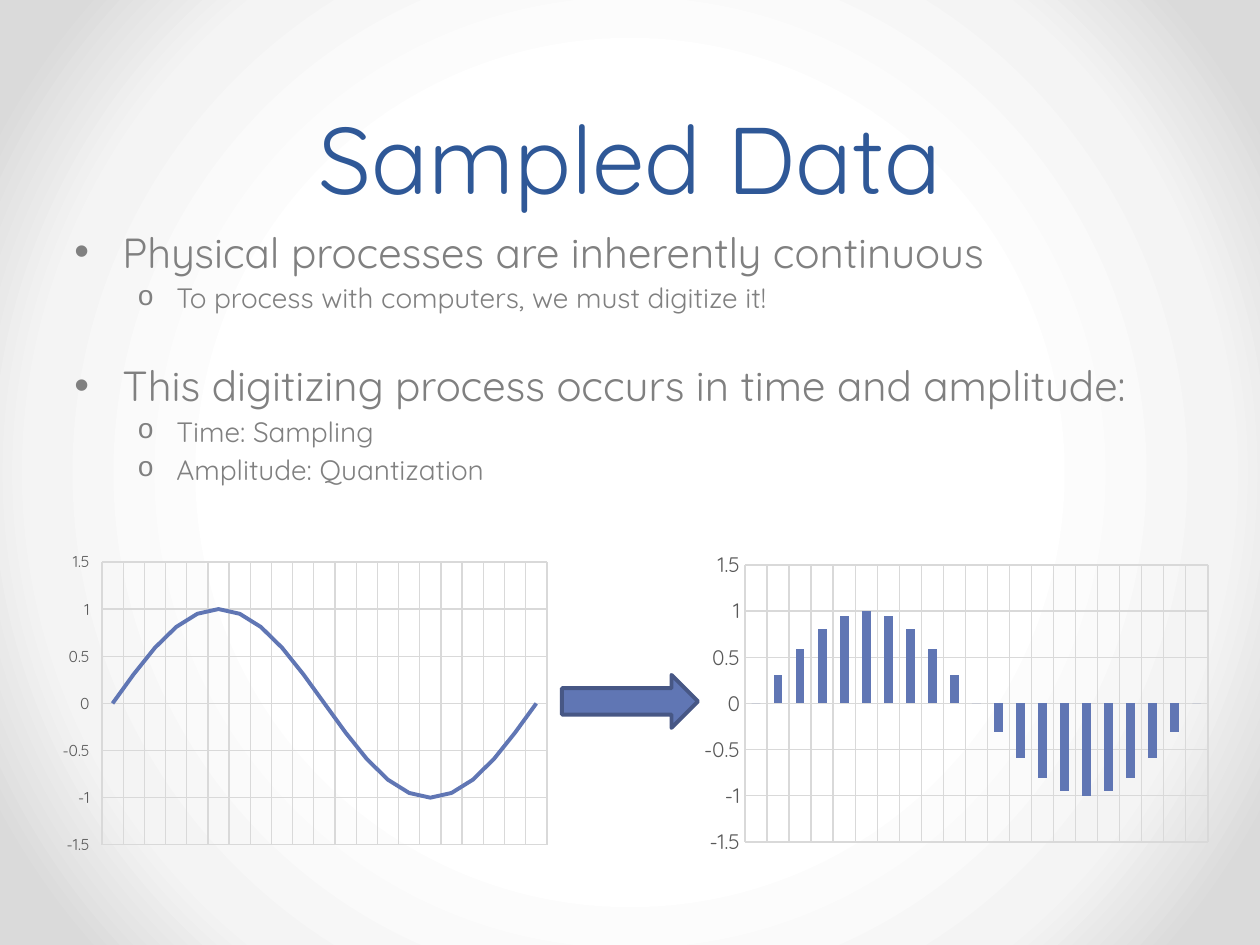
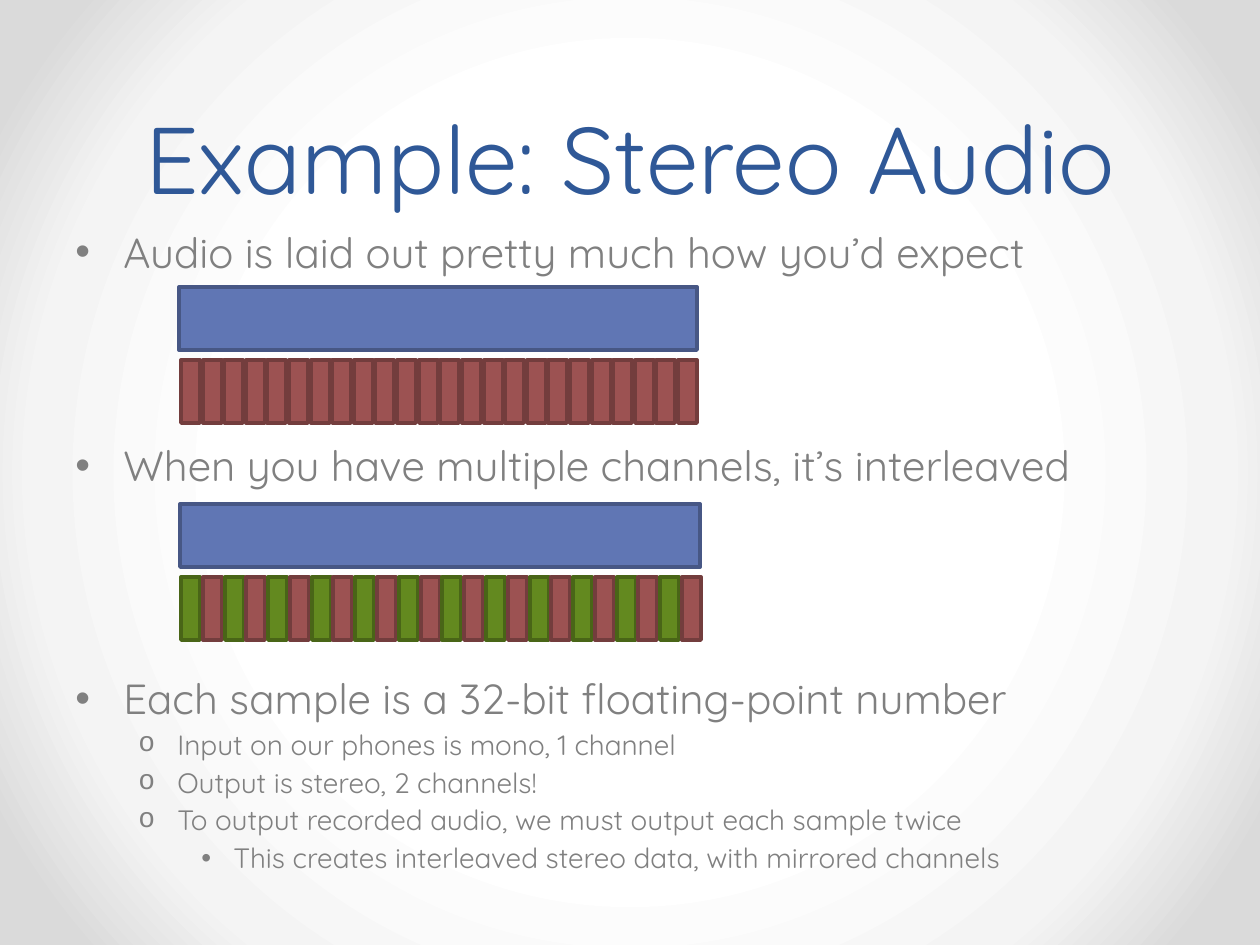
import math
from dataclasses import dataclass

from lxml import etree
from pptx import Presentation
from pptx import util as u
from pptx.chart.data import CategoryChartData
from pptx.dml.color import RGBColor
from pptx.enum import chart as charts, shapes, text
from pptx.oxml import parse_xml
from pptx.oxml.ns import nsdecls, qn

PIXEL = 914400 / 126
FONT = "Quicksand"
COLORS = {
    "title": "2F5897", "body": "808080", "axis": "595959", "grid": "D9D9D9",
    "blue": "6076B4", "blue_edge": "475785",
    "red": "9C5252", "red_edge": "733D3D",
    "green": "63891F", "green_edge": "496517",
}
BACKGROUND_STOPS = {50: "FFFFFF", 76: "F4F4F4", 92: "DADADA"}


@dataclass(frozen=True)
class Box:
    left: int
    top: int
    width: int
    height: int

    def emu(self) -> list[u.Emu]:
        return [px(n) for n in (self.left, self.top, self.width, self.height)]


@dataclass(frozen=True)
class Level:
    margin: int
    hang: int
    size: int
    bullet: str
    bullet_font: str


@dataclass(frozen=True)
class Bullet:
    words: str
    level: int = 0
    gap: float = 0  # extra points above the paragraph


@dataclass(frozen=True)
class WaveChart:
    kind: charts.XL_CHART_TYPE
    frame: Box
    plot: Box
    label_size: int
    axis_line: bool
    tick: charts.XL_TICK_MARK


@dataclass(frozen=True)
class SampleStrip:
    signal: Box
    first: int
    last: int
    top: int
    colors: tuple[str, ...]


LEVELS = (
    Level(48, 48, 24, "•", "Arial"),
    Level(102, 39, 16, "o", "Courier New"),
    Level(158, 32, 16, "•", "Arial"),
)


def px(pixels: float) -> u.Emu:
    return u.Emu(round(pixels * PIXEL))


def color(name: str) -> RGBColor:
    return RGBColor.from_string(COLORS[name])


def set_format(target, values: dict) -> None:
    for name, value in values.items():
        setattr(target, name, value)


def set_font(font, size: int, color_name: str) -> None:
    set_format(font, {"name": FONT, "size": u.Pt(size)})
    font.color.rgb = color(color_name)


def set_line(line, color_name: str, width: float) -> None:
    line.color.rgb = color(color_name)
    line.width = u.Pt(width)


# Shared slide parts
def set_background(presentation) -> None:
    stops = "".join(
        f'<a:gs pos="{position * 1000}"><a:srgbClr val="{value}"/></a:gs>'
        for position, value in BACKGROUND_STOPS.items())
    background = parse_xml(
        f'<p:bg {nsdecls("p", "a")}><p:bgPr><a:gradFill rotWithShape="1">'
        f'<a:gsLst>{stops}</a:gsLst><a:path path="circle">'
        '<a:fillToRect l="50000" t="50000" r="50000" b="50000"/></a:path>'
        '</a:gradFill><a:effectLst/></p:bgPr></p:bg>')
    common = presentation.slide_master.element.cSld
    for old in common.findall(qn("p:bg")):
        common.remove(old)
    common.insert(0, background)


def add_title(slide, words: str) -> None:
    frame = slide.shapes.add_textbox(*Box(63, 0, 1134, 220).emu()).text_frame
    set_format(frame, {"word_wrap": True,
                       "vertical_anchor": text.MSO_ANCHOR.BOTTOM})
    paragraph = frame.paragraphs[0]
    set_format(paragraph, {"alignment": text.PP_ALIGN.CENTER,
                           "line_spacing": u.Pt(58)})
    run = paragraph.add_run()
    run.text = words
    set_font(run.font, 54, "title")


def add_bullets(slide, box: Box, bullets: list[Bullet]) -> None:
    frame = slide.shapes.add_textbox(*box.emu()).text_frame
    frame.word_wrap = True
    for index, bullet in enumerate(bullets):
        paragraph = frame.add_paragraph() if index else frame.paragraphs[0]
        level = LEVELS[bullet.level]
        space = 0.15 * level.size + bullet.gap if index else 0
        set_format(paragraph, {"level": bullet.level,
                               "space_before": u.Pt(space)})
        properties = paragraph._p.get_or_add_pPr()
        properties.set("marL", str(px(level.margin)))
        properties.set("indent", str(-px(level.hang)))
        etree.SubElement(properties, qn("a:buFont"),
                         typeface=level.bullet_font)
        etree.SubElement(properties, qn("a:buChar"), char=level.bullet)
        run = paragraph.add_run()
        run.text = bullet.words
        set_font(run.font, level.size, "body")


def add_block(slide, kind: shapes.MSO_SHAPE, box: Box, fill: str) -> None:
    shape = slide.shapes.add_shape(kind, *box.emu())
    shape.shadow.inherit = False
    shape.fill.solid()
    shape.fill.fore_color.rgb = color(fill)
    set_line(shape.line, f"{fill}_edge", 2.25)


# One sine period, as a line or as columns
def add_wave_chart(slide, wave: WaveChart) -> None:
    data = CategoryChartData()
    data.categories = [str(n) for n in range(1, 22)]
    data.add_series("Series 1", [round(math.sin(math.pi * n / 10), 2)
                                 for n in range(21)])
    chart = slide.shapes.add_chart(wave.kind, *wave.frame.emu(), data).chart
    set_format(chart, {"has_legend": False, "has_title": False})
    set_format(chart.font, {"name": FONT, "size": u.Pt(10)})

    values, categories = chart.value_axis, chart.category_axis
    for axis in (values, categories):
        axis.has_major_gridlines = True
        set_line(axis.major_gridlines.format.line, "grid", 0.75)
    categories.visible = False
    set_format(values, {"minimum_scale": -1.5, "maximum_scale": 1.5,
                        "major_unit": 0.5, "major_tick_mark": wave.tick})
    set_font(values.tick_labels.font, wave.label_size, "axis")
    if wave.axis_line:
        set_line(values.format.line, "grid", 0.75)
    else:
        values.format.line.fill.background()

    plot = chart.plots[0]
    plot.vary_by_categories = False
    series = plot.series[0]
    if wave.kind == charts.XL_CHART_TYPE.LINE:
        series.smooth = False
        series.marker.style = charts.XL_MARKER_STYLE.NONE
        set_line(series.format.line, "blue", 2.25)
    else:
        plot.gap_width = 150
        series.invert_if_negative = False
        series.format.fill.solid()
        series.format.fill.fore_color.rgb = color("blue")
    place_plot(chart, wave.frame, wave.plot)


def place_plot(chart, frame: Box, plot: Box) -> None:
    area = chart._chartSpace.find(f".//{qn('c:plotArea')}")
    for old in area.findall(qn("c:layout")):
        area.remove(old)
    layout = etree.Element(qn("c:layout"))
    area.insert(0, layout)
    manual = etree.SubElement(layout, qn("c:manualLayout"))
    settings = {
        "layoutTarget": "inner", "xMode": "edge", "yMode": "edge",
        "x": (plot.left - frame.left) / frame.width,
        "y": (plot.top - frame.top) / frame.height,
        "w": plot.width / frame.width, "h": plot.height / frame.height,
    }
    for name, value in settings.items():
        etree.SubElement(manual, qn(f"c:{name}"), val=str(value))


# A signal bar over its row of samples
def add_sample_strip(slide, strip: SampleStrip, count: int = 24) -> None:
    rectangle = shapes.MSO_SHAPE.RECTANGLE
    add_block(slide, rectangle, strip.signal, "blue")
    pitch = (strip.last - strip.first) / (count - 1)
    for index in range(count):
        left = round(strip.first + index * pitch)
        add_block(slide, rectangle, Box(left, strip.top, 19, 63),
                  strip.colors[index % len(strip.colors)])


def build_sampled_data(slide) -> None:
    add_title(slide, "Sampled Data")
    add_bullets(slide, Box(62, 220, 1134, 624), [
        Bullet("Physical processes are inherently continuous"),
        Bullet("To process with computers, we must digitize it!", 1),
        Bullet("This digitizing process occurs in time and amplitude:",
               gap=22.4),
        Bullet("Time: Sampling", 1),
        Bullet("Amplitude: Quantization", 1),
    ])
    add_wave_chart(slide, WaveChart(
        charts.XL_CHART_TYPE.LINE, Box(53, 546, 504, 315),
        Box(102, 562, 445, 283), 9, False, charts.XL_TICK_MARK.OUTSIDE))
    add_wave_chart(slide, WaveChart(
        charts.XL_CHART_TYPE.COLUMN_CLUSTERED, Box(693, 546, 525, 315),
        Box(745, 565, 463, 277), 12, True, charts.XL_TICK_MARK.NONE))
    add_block(slide, shapes.MSO_SHAPE.RIGHT_ARROW,
              Box(562, 675, 136, 53), "blue")


def build_stereo_audio(slide) -> None:
    add_title(slide, "Example: Stereo Audio")
    add_bullets(slide, Box(63, 220, 1134, 703), [
        Bullet("Audio is laid out pretty much how you’d expect"),
        Bullet("When you have multiple channels, it’s interleaved", gap=89.6),
        Bullet("Each sample is a 32-bit floating-point number", gap=100.8),
        Bullet("Input on our phones is mono, 1 channel", 1),
        Bullet("Output is stereo, 2 channels!", 1),
        Bullet("To output recorded audio, we must output each sample twice",
               1),
        Bullet("This creates interleaved stereo data, with mirrored channels",
               2),
    ])
    add_sample_strip(slide, SampleStrip(
        Box(179, 287, 518, 63), 181, 678, 360, ("red",)))
    add_sample_strip(slide, SampleStrip(
        Box(180, 504, 520, 63), 181, 682, 577, ("green", "red")))


def main() -> None:
    presentation = Presentation()
    set_format(presentation, {"slide_width": px(1260),
                              "slide_height": px(945)})
    set_background(presentation)
    blank = presentation.slide_layouts[6]
    for build in (build_sampled_data, build_stereo_audio):
        build(presentation.slides.add_slide(blank))
    presentation.save("out.pptx")


main()
